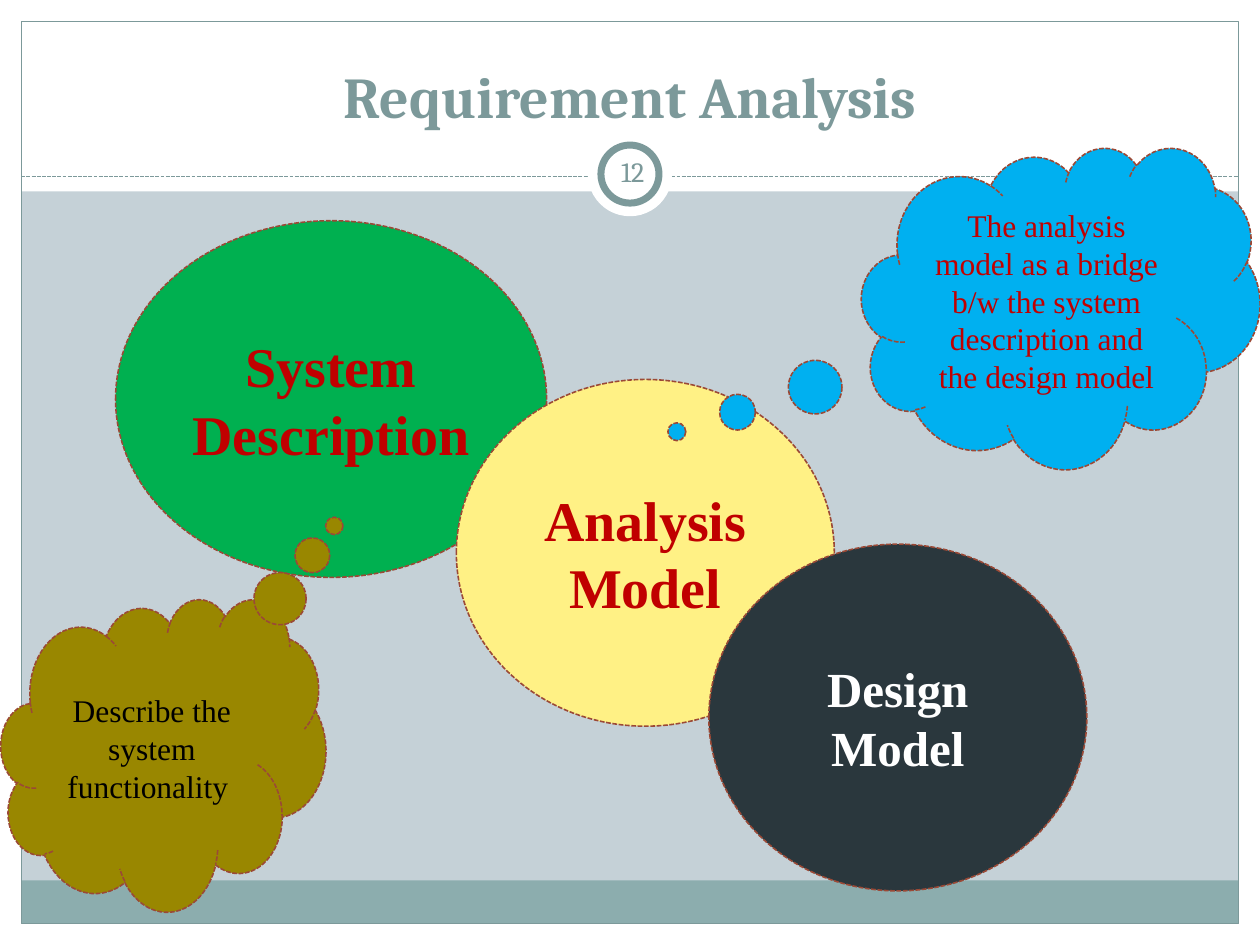
import pptx
import pptx.util
import pptx.dml.color
import pptx.enum.dml
import pptx.enum.shapes
import pptx.enum.text
import pptx.oxml.ns
import lxml.etree

Cm = pptx.util.Cm
Pt = pptx.util.Pt
RGBColor = pptx.dml.color.RGBColor
SHAPE = pptx.enum.shapes.MSO_SHAPE
ANCHOR = pptx.enum.text.MSO_ANCHOR
DASH = pptx.enum.dml.MSO_LINE.SQUARE_DOT

WHITE = RGBColor(0xFF, 0xFF, 0xFF)
BLACK = RGBColor(0, 0, 0)
MIST = RGBColor(0xC5, 0xD1, 0xD7)
SAGE = RGBColor(0x8C, 0xAD, 0xAE)
TEAL = RGBColor(0x7C, 0x99, 0x9A)
RUST = RGBColor(0x9B, 0x49, 0x36)
RED = RGBColor(0xC0, 0, 0)
GREEN = RGBColor(0, 0xB0, 0x50)
YELLOW = RGBColor(0xFF, 0xF1, 0x85)
SLATE = RGBColor(0x2A, 0x37, 0x3D)
OLIVE = RGBColor(0x99, 0x87, 0)
BLUE = RGBColor(0, 0xB0, 0xF0)

WIDTH, HEIGHT, MARGIN = 25.4, 19.05, 0.43
HEADER, RULE_Y = 3.86, 3.56
INNER = WIDTH - 2 * MARGIN
BADGE_Y = 3.51

BANDS = [
    ((0, HEIGHT - MARGIN, WIDTH, MARGIN), WHITE),
    ((0, 0, WIDTH, HEADER), WHITE),
    ((0, 0, MARGIN, HEIGHT), WHITE),
    ((WIDTH - MARGIN, 0, MARGIN, HEIGHT), WHITE),
    ((MARGIN, 17.75, INNER, 0.87), SAGE),
]
MODELS = [
    ("System Description", (2.33, 4.45, 8.69, 7.19), GREEN, RED, 32),
    ("Analysis Model", (9.2, 7.65, 7.62, 6.99), YELLOW, RED, 32),
    ("Design Model", (14.29, 10.97, 7.62, 6.99), SLATE, WHITE, 28),
]
THOUGHTS = [
    ("Describe the system functionality ", (0.02, 12.07, 6.55, 6.3),
     OLIVE, BLACK, (0.526, -0.733)),
    ("The analysis model as a bridge b/w the system description and the design model",
     (17.37, 2.97, 8.03, 6.48), BLUE, RED, (-0.964, 0.385)),
]


def add_shape(page, kind, place, fill=None, line=None, weight=0.75, dash=None):
    shape = page.shapes.add_shape(kind, *map(Cm, place))
    shape.shadow.inherit = False
    if fill is None:
        shape.fill.background()
    else:
        shape.fill.solid()
        shape.fill.fore_color.rgb = fill
    if line is None:
        shape.line.fill.background()
    else:
        shape.line.color.rgb = line
        shape.line.width = Pt(weight)
        shape.line.dash_style = dash
    return shape


def write(shape, text, size, color, font="Times New Roman", bold=False,
          anchor=ANCHOR.MIDDLE):
    frame = shape.text_frame
    frame.word_wrap = True
    frame.vertical_anchor = anchor
    para = frame.paragraphs[0]
    para.text = text
    para.alignment = pptx.enum.text.PP_ALIGN.CENTER
    para.font.name = font
    para.font.size = Pt(size)
    para.font.bold = bold
    para.font.color.rgb = color


def add_badge(page, diameter, **style):
    place = ((WIDTH - diameter) / 2, BADGE_Y - diameter / 2, diameter, diameter)
    add_shape(page, SHAPE.OVAL, place, WHITE, **style)


def add_frame(page):
    for place, color in BANDS:
        add_shape(page, SHAPE.RECTANGLE, place, color)
    add_shape(page, SHAPE.RECTANGLE,
              (MARGIN, MARGIN, INNER, HEIGHT - 2 * MARGIN), line=TEAL)
    rule = page.shapes.add_connector(
        pptx.enum.shapes.MSO_CONNECTOR.STRAIGHT,
        Cm(MARGIN), Cm(RULE_Y), Cm(WIDTH - MARGIN), Cm(RULE_Y))
    rule.line.color.rgb = TEAL
    rule.line.width = Pt(0.75)
    rule.line.dash_style = DASH
    lxml.etree.SubElement(rule._element.spPr, pptx.oxml.ns.qn("a:effectLst"))
    add_badge(page, 1.7)
    add_badge(page, 1.17, line=TEAL, weight=4)


def main():
    deck = pptx.Presentation()
    deck.slide_width, deck.slide_height = Cm(WIDTH), Cm(HEIGHT)
    page = deck.slides.add_slide(deck.slide_layouts[6])
    page.background.fill.solid()
    page.background.fill.fore_color.rgb = MIST
    add_frame(page)

    title = page.shapes.add_textbox(Cm(0.85), Cm(0.64), Cm(23.7), Cm(2.11))
    write(title, "Requirement Analysis", 33, TEAL, "Cambria", True, ANCHOR.BOTTOM)

    for text, place, fill, color, size in MODELS:
        oval = add_shape(page, SHAPE.OVAL, place, fill, RUST, 0.9, DASH)
        write(oval, text, size, color, bold=True)

    for text, place, fill, color, tail in THOUGHTS:
        cloud = add_shape(page, SHAPE.CLOUD_CALLOUT, place, fill, RUST, 0.9, DASH)
        cloud.adjustments[0], cloud.adjustments[1] = tail
        write(cloud, text, 18, color)

    number = page.shapes.add_textbox(Cm(12.12), Cm(2.84), Cm(1.27), Cm(1.22))
    frame = number.text_frame
    frame.margin_left = frame.margin_right = Cm(0.13)
    frame.margin_top = frame.margin_bottom = Cm(0.13)
    write(number, "12", 16, TEAL, "Cambria")

    deck.save("out.pptx")


if __name__ == "__main__":
    main()
